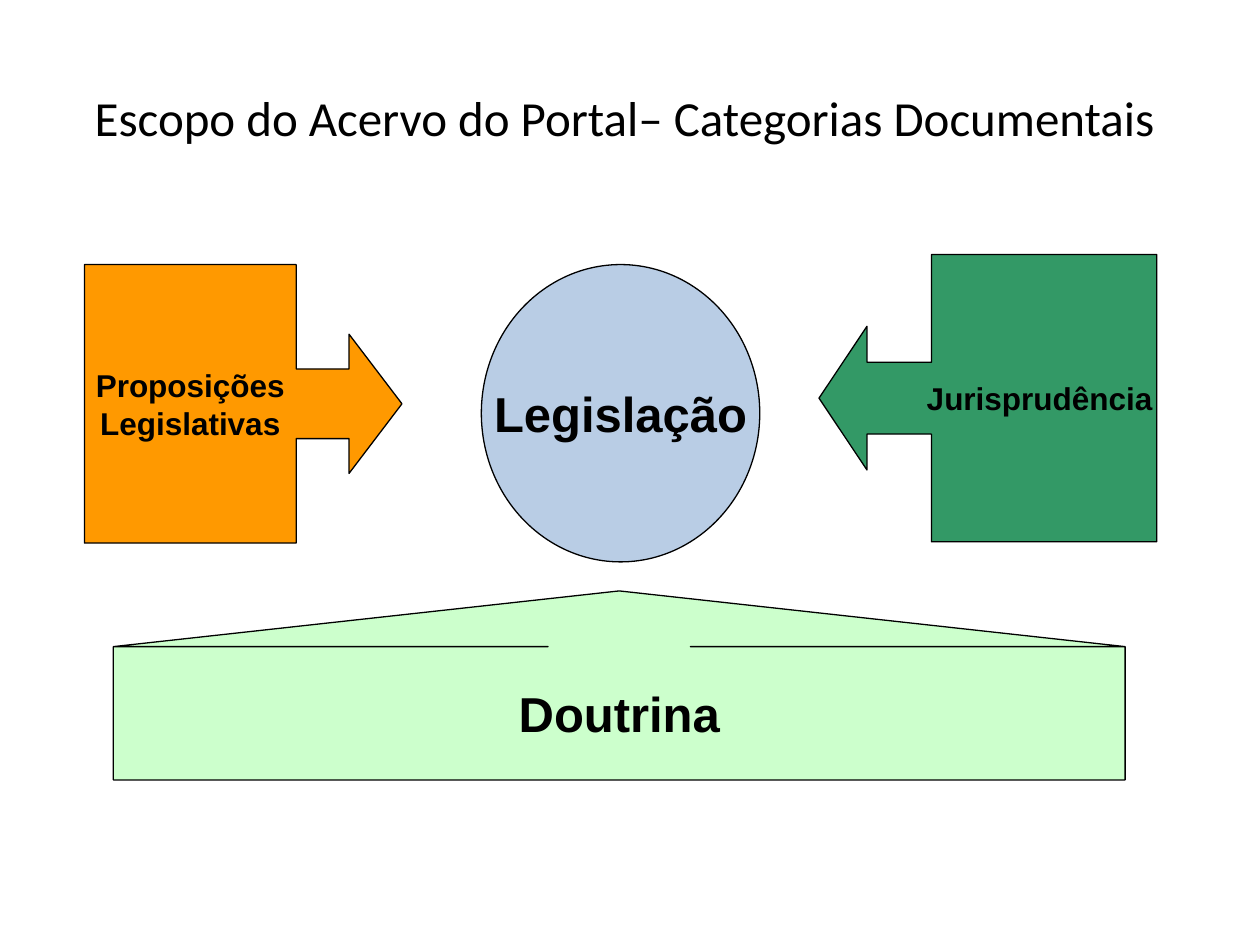
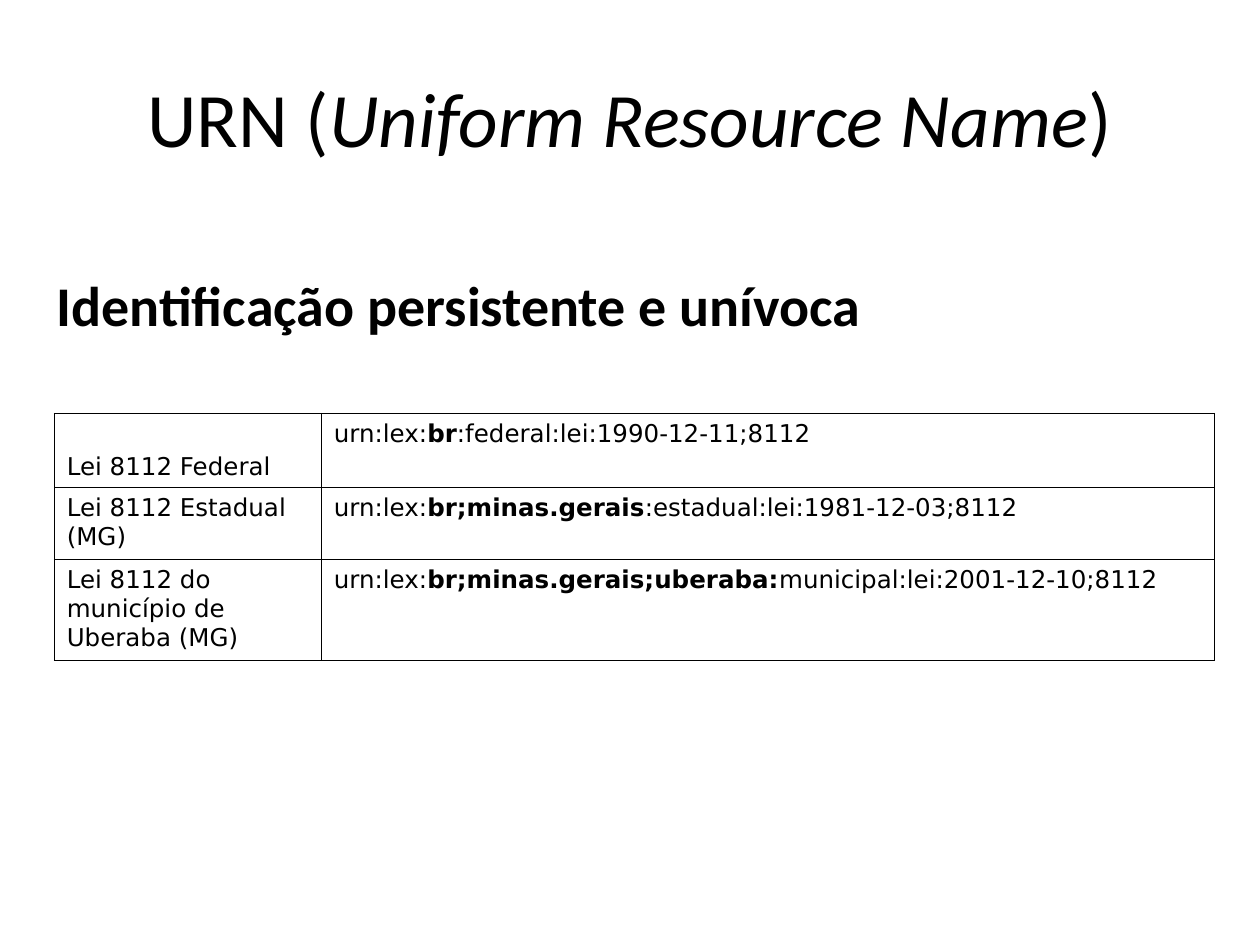
from lxml import etree
from pptx import Presentation
from pptx.dml.color import RGBColor
from pptx.enum.shapes import MSO_SHAPE as Shape
from pptx.enum.text import MSO_ANCHOR as Anchor, PP_ALIGN as Align
from pptx.oxml.ns import qn
from pptx.util import Inches, Pt

COLORS = {
    "ink": "000000",
    "legislation": "B9CDE5",
    "bills": "FF9900",
    "case_law": "339966",
    "doctrine": "CCFFCC",
}
TITLE_BOX = (0.5, 0.3, 9, 1.25)
CATEGORIES = [
    (Shape.OVAL, (3.82, 2.1, 2.21, 2.36), "legislation", ["Legislação"], 28, []),
    (Shape.RIGHT_ARROW_CALLOUT, (0.67, 2.1, 2.52, 2.21), "bills",
     ["Proposições", "Legislativas"], 18, [0.25, 0.25, 0.19, 0.667]),
    (Shape.LEFT_ARROW_CALLOUT, (6.5, 2.02, 2.68, 2.28), "case_law",
     ["Jurisprudência "], 18, [0.25, 0.25, 0.167, 0.667]),
    (Shape.UP_ARROW_CALLOUT, (0.9, 4.69, 8.03, 1.5), "doctrine",
     ["Doutrina"], 28, [0.753, 2.684, 0.295, 0.921]),
]
URN_ROWS = [
    ("Lei 8112 Federal", "br", ":federal:lei:1990-12-11;8112"),
    ("Lei 8112 Estadual (MG)", "br;minas.gerais", ":estadual:lei:1981-12-03;8112"),
    ("Lei 8112 do município de Uberaba (MG)", "br;minas.gerais;uberaba:",
     "municipal:lei:2001-12-10;8112"),
]
COLUMN_WIDTHS = [2.12, 7.09]
ROW_HEIGHTS = [0.59, 0.57, 0.8]


def color(name):
    """Return the palette colour with the given name."""
    return RGBColor.from_string(COLORS[name])


def inches(box):
    """Convert a box of numbers to lengths."""
    return [Inches(value) for value in box]


def style(paragraph, font_name, size, bold=None, align=Align.LEFT):
    """Set the font and alignment of a paragraph."""
    paragraph.alignment = align
    font = paragraph.font
    font.name, font.size, font.bold = font_name, Pt(size), bold
    font.color.rgb = color("ink")


def add_titled_slide(presentation, parts, size):
    """Add a slide whose title is made of (text, italic) parts."""
    slide = presentation.slides.add_slide(presentation.slide_layouts[5])
    title = slide.shapes.title
    title.left, title.top, title.width, title.height = inches(TITLE_BOX)
    title.text_frame.vertical_anchor = Anchor.MIDDLE
    paragraph = title.text_frame.paragraphs[0]
    for text, italic in parts:
        run = paragraph.add_run()
        run.text = text
        if italic:
            run.font.italic = True
    style(paragraph, "Calibri", size, align=Align.CENTER)
    return slide


def add_category(slide, preset, box, fill, lines, size, adjustments):
    """Add one outlined shape naming a document category."""
    shape = slide.shapes.add_shape(preset, *inches(box))
    shape.shadow.inherit = False
    for index, value in enumerate(adjustments):
        shape.adjustments[index] = value
    shape.fill.solid()
    shape.fill.fore_color.rgb = color(fill)
    shape.line.color.rgb = color("ink")
    shape.line.width = Pt(0.75)
    frame = shape.text_frame
    frame.word_wrap = False
    frame.vertical_anchor = Anchor.MIDDLE
    frame.text = "\n".join(lines)
    for paragraph in frame.paragraphs:
        style(paragraph, "Arial", size, True, Align.CENTER)


def add_subtitle(slide, box, text):
    """Add the bold statement above the table."""
    frame = slide.shapes.add_textbox(*inches(box)).text_frame
    frame.word_wrap = True
    frame.text = text
    style(frame.paragraphs[0], "Calibri", 32, True)


def set_borders(cell):
    """Draw a thin line on each side of a cell."""
    properties = cell._tc.get_or_add_tcPr()
    for index, side in enumerate(("lnL", "lnR", "lnT", "lnB")):
        line = etree.Element(qn(f"a:{side}"), w=str(Pt(0.45)))
        fill = etree.SubElement(line, qn("a:solidFill"))
        etree.SubElement(fill, qn("a:srgbClr"), val=COLORS["ink"])
        properties.insert(index, line)


def add_urn_table(slide, left, top):
    """Add the table of laws and their URNs at the given corner."""
    box = (left, top, sum(COLUMN_WIDTHS), sum(ROW_HEIGHTS))
    table = slide.shapes.add_table(
        len(ROW_HEIGHTS), len(COLUMN_WIDTHS), *inches(box)).table
    table.first_row = table.horz_banding = False
    for column, width in zip(table.columns, COLUMN_WIDTHS):
        column.width = Inches(width)
    for row, height, (law, authority, rest) in zip(table.rows, ROW_HEIGHTS, URN_ROWS):
        row.height = Inches(height)
        law_cell, urn_cell = row.cells
        law_cell.text = law
        paragraph = urn_cell.text_frame.paragraphs[0]
        for text, bold in (("urn:lex:", False), (authority, True), (rest, False)):
            run = paragraph.add_run()
            run.text = text
            run.font.bold = bold
        for cell in (law_cell, urn_cell):
            style(cell.text_frame.paragraphs[0], "DejaVu Sans", 14)
            cell.fill.background()
            set_borders(cell)
    table.cell(0, 0).vertical_anchor = Anchor.BOTTOM


def add_scope_slide(presentation):
    """Add the slide on the document categories."""
    title = "Escopo do Acervo do Portal– Categorias Documentais "
    slide = add_titled_slide(presentation, [(title, False)], 28)
    for category in CATEGORIES:
        add_category(slide, *category)


def add_urn_slide(presentation):
    """Add the slide on uniform resource names."""
    parts = [("URN (", False), ("Uniform Resource Name", True), (")", False)]
    slide = add_titled_slide(presentation, parts, 44)
    add_subtitle(slide, (0.35, 2.1, 9.13, 1.17), "Identificação persistente e unívoca")
    add_urn_table(slide, 0.43, 3.28)


def main():
    """Build and save the presentation."""
    presentation = Presentation()
    presentation.slide_width, presentation.slide_height = Inches(10), Inches(7.5)
    add_scope_slide(presentation)
    add_urn_slide(presentation)
    presentation.save("out.pptx")


if __name__ == "__main__":
    main()
